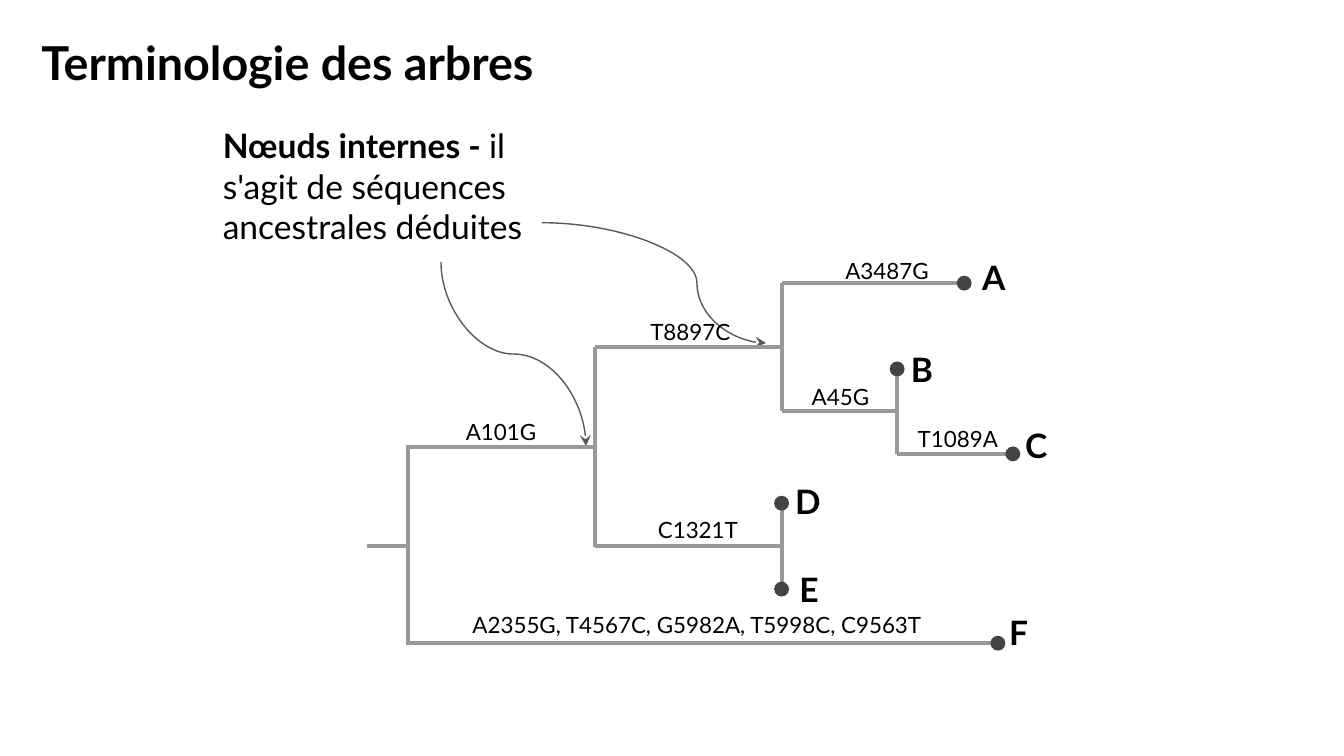
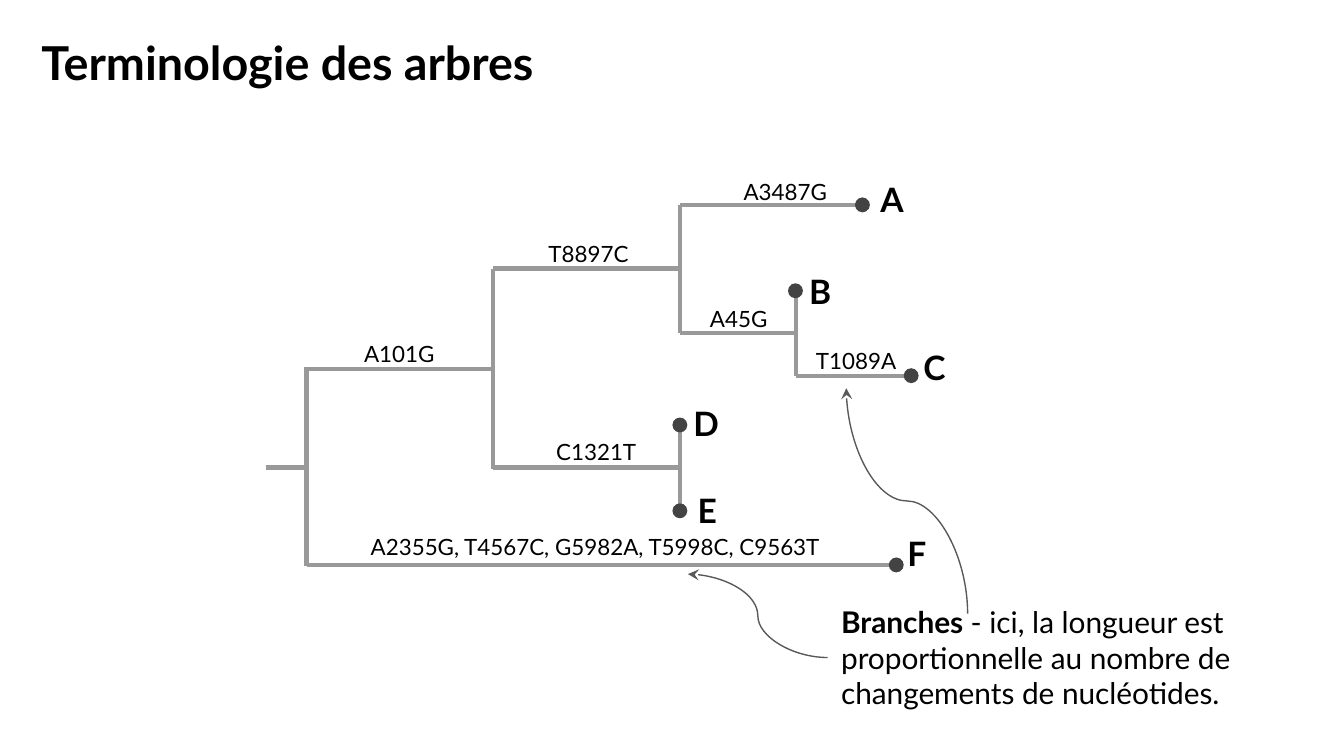
from dataclasses import dataclass

from pptx import Presentation
from pptx.dml.color import RGBColor
from pptx.enum import shapes, text
from pptx.oxml import ns, xmlchemy
from pptx.util import Pt


@dataclass(frozen=True)
class Theme:
    font: str = "Lato"
    ink: RGBColor = RGBColor(0, 0, 0)
    branch: RGBColor = RGBColor(0x99, 0x99, 0x99)
    leaf: RGBColor = RGBColor(0x43, 0x43, 0x43)
    arrow: RGBColor = RGBColor(0x59, 0x59, 0x59)
    title_size: float = 25
    leaf_size: float = 18
    mutation_size: float = 12
    branch_width: float = 2.25
    arrow_width: float = 0.75
    dot: float = 8
    inset: float = 7.2


THEME = Theme()

# Content: lengths in points, tree positions measured from the root
TITLE = "Terminologie des arbres"
TITLE_BOX = (15, 10.8, 690.5, 54.7)

HORIZONTALS = [  # x start, x end, y
    (-22, 0, 0), (0, 100, -52.8), (0, 315, 52), (100, 200, 0),
    (100, 200, -106.6), (200, 262, -72), (262, 324, -49.2), (200, 300, -140.6),
]
VERTICALS = [  # x, y bottom, y top
    (0, 53, -54), (100, 0.7, -106.6), (200, 22.5, -23),
    (200, -72, -140.6), (262, -49.2, -94.5),
]
MUTATIONS = [  # wording, left, top, width, height
    ("C1321T", 126.6, -23, 62, 17.3),
    ("T8897C", 122.5, -129, 62, 22.3),
    ("A101G", 23.7, -75.7, 62, 22.3),
    ("A2355G, T4567C, G5982A, T5998C, C9563T", 27.3, 28, 260, 22.3),
    ("A3487G", 227, -162, 70.6, 23.8),
    ("A45G", 209, -94.4, 62, 22.3),
    ("T1089A", 265.8, -72, 70.6, 22.3),
]
LEAVES = [  # name, dot centre, label corner
    ("A", (297.8, -140.7), (300.3, -162)),
    ("B", (261.9, -94.7), (262.2, -112.4)),
    ("C", (323.9, -49.2), (323.4, -72)),
    ("D", (200, -22.8), (200.2, -42)),
    ("E", (200, 23.2), (202.4, 5)),
    ("F", (315.9, 52.2), (314.8, 28)),
]
LEAF_LABEL = (33, 23.8)

PAGES = [
    {
        "root": (218.75, 292.4),
        "callout": (112.3, 59.8, 199.4, 79.9),
        "size": 18,
        "spans": [("Nœuds internes - ", True),
                  ("il s'agit de séquences ancestrales déduites", False)],
        "arrows": [  # start, end, leaves vertically, bend
            ((236.2, 140.4), (313.9, 239), True, 0.5),
            ((290.2, 119.3), (410.4, 183.8), False, 0.692),
        ],
    },
    {
        "root": (164.25, 250.5),
        "callout": (443.5, 316.1, 248.4, 72.7),
        "size": 16,
        "spans": [("Branches ", True),
                  ("- ici, la longueur est proportionnelle au nombre "
                   "de changements de nucléotides.", False)],
        "arrows": [
            ((443.5, 352.3), (368.6, 307.6), False, 0.5),
            ((518.4, 328.8), (453.4, 208), True, 0.5),
        ],
    },
]


# Helpers
def write(shape, spans, size):
    frame = shape.text_frame
    frame.word_wrap = True
    frame.auto_size = text.MSO_AUTO_SIZE.NONE
    frame.vertical_anchor = text.MSO_ANCHOR.TOP
    frame.margin_left = frame.margin_right = Pt(THEME.inset)
    frame.margin_top = frame.margin_bottom = Pt(THEME.inset)
    para = frame.paragraphs[0]
    para.alignment = text.PP_ALIGN.LEFT
    for wording, bold in spans:
        span = para.add_run()
        span.text = wording
        span.font.name = THEME.font
        span.font.size = Pt(size)
        span.font.bold = bold
        span.font.color.rgb = THEME.ink


def add_text(page, box, spans, size):
    shape = page.shapes.add_textbox(*map(Pt, box))
    write(shape, spans, size)
    return shape


def add_line(page, kind, start, end, color, width):
    line = page.shapes.add_connector(kind, *map(Pt, (*start, *end)))
    line.line.color.rgb = color
    line.line.width = Pt(width)
    line.element.spPr.append(xmlchemy.OxmlElement("a:effectLst"))
    return line


def add_curved_arrow(page, start, end, vertical, bend):
    rotation = 0
    if vertical:
        # Lay the curve flat around its middle, then turn it upright
        (x0, y0), (x1, y1) = start, end
        rotation = 270 if y1 > y0 else 90
        mid_x, mid_y = (x0 + x1) / 2, (y0 + y1) / 2
        half_w, half_h = abs(y1 - y0) / 2, abs(x1 - x0) / 2
        start = (mid_x + half_w, mid_y - half_h)
        end = (mid_x - half_w, mid_y + half_h)
    arrow = add_line(page, shapes.MSO_CONNECTOR.CURVE, start, end,
                     THEME.arrow, THEME.arrow_width)
    arrow.rotation = rotation
    properties = arrow.element.spPr
    head = xmlchemy.OxmlElement("a:tailEnd")
    head.set("type", "stealth")
    properties.find(ns.qn("a:ln")).append(head)
    guide = xmlchemy.OxmlElement("a:gd")
    guide.set("name", "adj1")
    guide.set("fmla", f"val {round(bend * 100000)}")
    geometry = properties.find(ns.qn("a:prstGeom"))
    geometry.find(ns.qn("a:avLst")).append(guide)


def add_tree(page, root):
    def place(x, y):
        return root[0] + x, root[1] + y

    # Branches
    ends = [((x0, y), (x1, y)) for x0, x1, y in HORIZONTALS]
    ends += [((x, y0), (x, y1)) for x, y0, y1 in VERTICALS]
    for start, end in ends:
        add_line(page, shapes.MSO_CONNECTOR.STRAIGHT, place(*start),
                 place(*end), THEME.branch, THEME.branch_width)

    # Mutations along the branches
    for wording, x, y, width, height in MUTATIONS:
        add_text(page, (*place(x, y), width, height),
                 [(wording, False)], THEME.mutation_size)

    # Leaves
    for name, (x, y), corner in LEAVES:
        left, top = place(x - THEME.dot / 2, y - THEME.dot / 2)
        dot = page.shapes.add_shape(
            shapes.MSO_SHAPE.OVAL, *map(Pt, (left, top, THEME.dot, THEME.dot)))
        dot.shadow.inherit = False
        dot.fill.solid()
        dot.fill.fore_color.rgb = THEME.leaf
        dot.line.fill.background()
        add_text(page, (*place(*corner), *LEAF_LABEL),
                 [(name, True)], THEME.leaf_size)


def add_page(deck, content):
    page = deck.slides.add_slide(deck.slide_layouts.get_by_name("Title Only"))
    title = page.shapes.title
    title.left, title.top, title.width, title.height = map(Pt, TITLE_BOX)
    write(title, [(TITLE, True)], THEME.title_size)
    callout = add_text(page, content["callout"], content["spans"], content["size"])
    callout.text_frame.auto_size = text.MSO_AUTO_SIZE.SHAPE_TO_FIT_TEXT
    for arrow in content["arrows"]:
        add_curved_arrow(page, *arrow)
    add_tree(page, content["root"])


def main():
    deck = Presentation()
    deck.slide_width, deck.slide_height = Pt(720), Pt(405)
    for content in PAGES:
        add_page(deck, content)
    deck.save("out.pptx")


if __name__ == "__main__":
    main()
